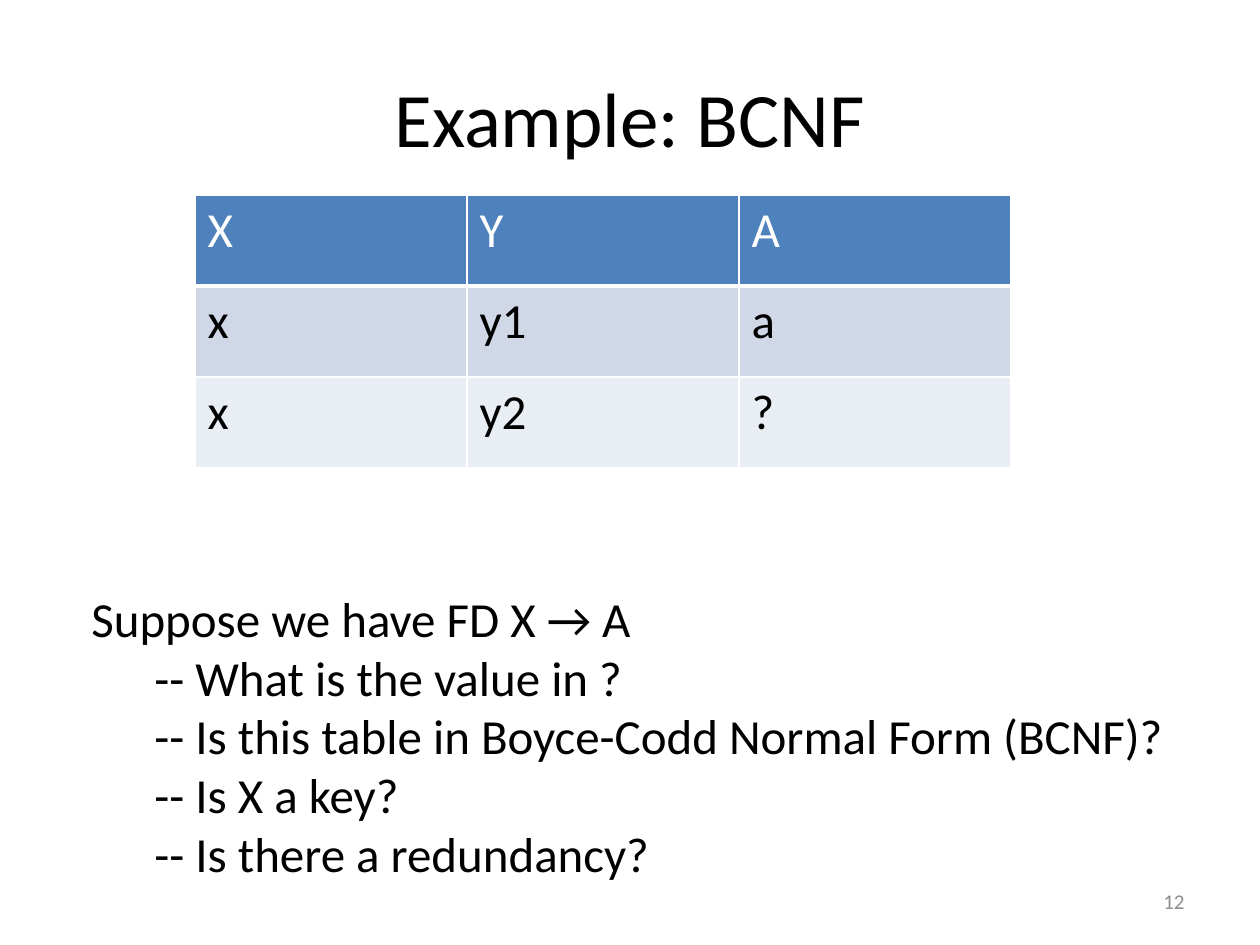
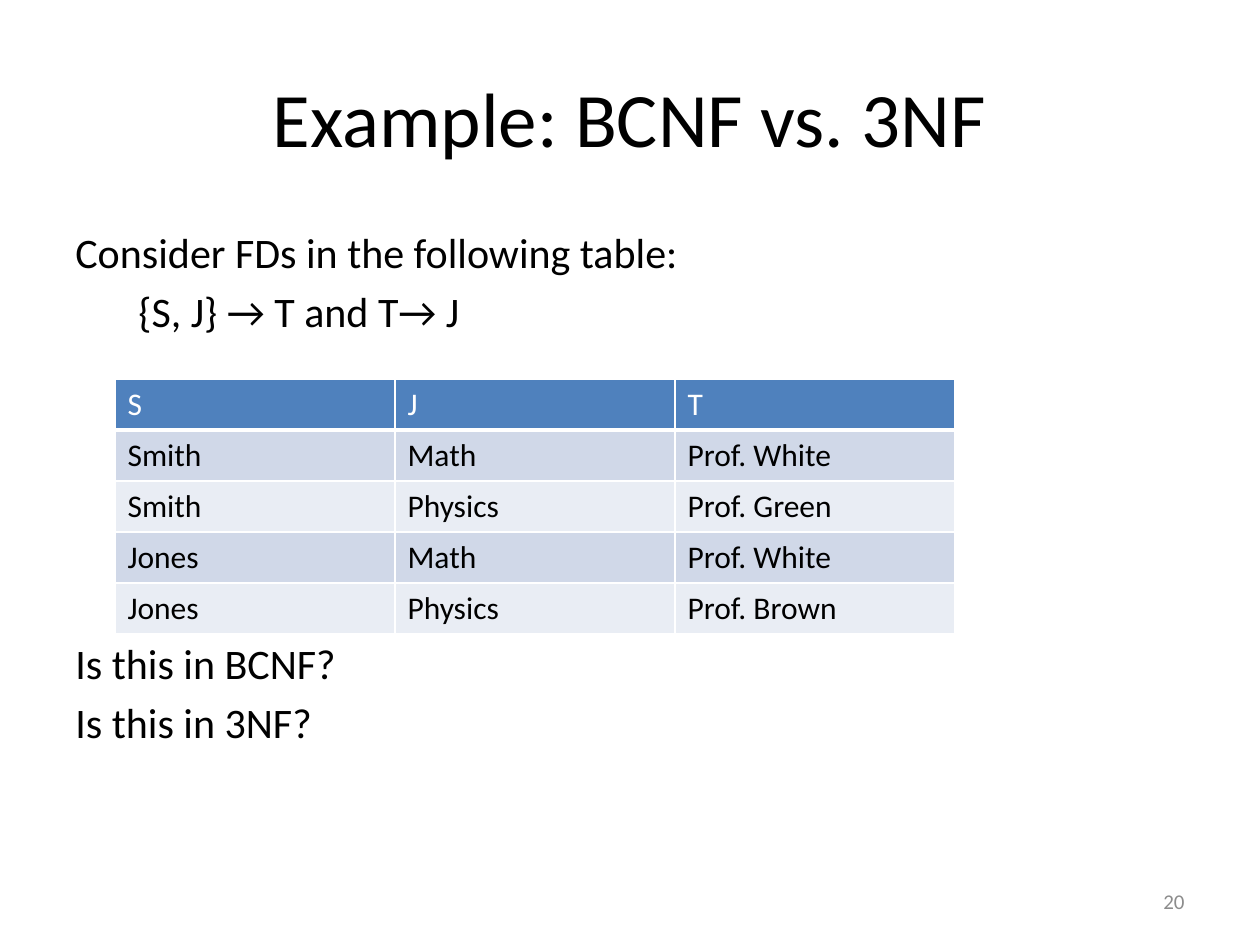
"""Build two slides on normal forms, each with a table and questions."""
from dataclasses import dataclass

from lxml.etree import SubElement
from pptx import Presentation
from pptx.dml.color import RGBColor as Color
from pptx.enum.text import MSO_ANCHOR as Anchor, PP_ALIGN as Align
from pptx.oxml.ns import qn
from pptx.util import Emu, Pt

PX_PER_INCH = 126


@dataclass(frozen=True)
class Theme:
    """Colours, font and type sizes shared by the slides."""
    font: str = "Calibri"
    ink: str = "000000"
    paper: str = "FFFFFF"
    muted: str = "8C8C8C"
    header: str = "4F81BD"
    bands: tuple = ("D0D8E8", "E9EDF4")
    title_size: int = 44
    number_size: int = 12
    rule: int = 1
    header_rule: int = 3


THEME = Theme()


def px(length):
    """Turn whole pixels into EMU."""
    return Emu(round(length * 914400 / PX_PER_INCH))


def style(para, size, color=THEME.ink, align=Align.LEFT):
    """Set font, size, colour and alignment of a paragraph."""
    para.font.name = THEME.font
    para.font.size = Pt(size)
    para.font.color.rgb = Color.from_string(color)
    para.alignment = align


def add_text(page, place, lines, size, color=THEME.ink, align=Align.LEFT, anchor=Anchor.TOP):
    """Add a text box with lines of (text, indent in px, space before in points)."""
    frame = page.shapes.add_textbox(*map(px, place)).text_frame
    frame.word_wrap = True
    frame.vertical_anchor = anchor
    for index, (text, indent, space) in enumerate(lines):
        para = frame.add_paragraph() if index else frame.paragraphs[0]
        para.text = text
        para.space_before = Pt(space)
        if indent:
            para._p.get_or_add_pPr().set("marL", str(px(indent)))
        style(para, size, color, align)


def add_borders(cell, bottom):
    """Draw white rules around a cell, with the given bottom width."""
    properties = cell._tc.get_or_add_tcPr()
    for side in "LRTB":
        width = bottom if side == "B" else THEME.rule
        line = SubElement(properties, qn(f"a:ln{side}"), w=str(Pt(width)))
        fill = SubElement(line, qn("a:solidFill"))
        SubElement(fill, qn("a:srgbClr"), val=THEME.paper)


def add_grid(page, left, top, column_width, row_height, rows, size):
    """Add a table with a header row and banded body rows."""
    width, height = column_width * len(rows[0]), row_height * len(rows)
    table = page.shapes.add_table(
        len(rows), len(rows[0]), px(left), px(top), px(width), px(height)).table
    table.first_row = table.horz_banding = False
    for row_index, row in enumerate(rows):
        is_header = row_index == 0
        fill = THEME.header if is_header else THEME.bands[(row_index - 1) % 2]
        for column_index, text in enumerate(row):
            cell = table.cell(row_index, column_index)
            add_borders(cell, THEME.header_rule if is_header else THEME.rule)
            cell.fill.solid()
            cell.fill.fore_color.rgb = Color.from_string(fill)
            cell.text = text
            style(cell.text_frame.paragraphs[0], size, THEME.paper if is_header else THEME.ink)


def add_page(deck, title, number):
    """Add a blank slide with its title and page number."""
    page = deck.slides.add_slide(deck.slide_layouts[6])
    add_text(page, (63, 38, 1134, 158), [(title, 0, 0)], THEME.title_size,
             align=Align.CENTER, anchor=Anchor.MIDDLE)
    add_text(page, (903, 876, 294, 50), [(number, 0, 0)], THEME.number_size,
             THEME.muted, Align.RIGHT, Anchor.MIDDLE)
    return page


def add_bcnf_page(deck):
    """Add the slide that asks for a missing value."""
    page = add_page(deck, "Example: BCNF", "12")
    rows = [("X", "Y", "A"), ("x", "y1", "a"), ("x", "y2", "?")]
    add_grid(page, 195, 195, 272, 91, rows, 28)
    questions = [
        "-- What is the value in ?",
        "-- Is this table in Boyce-Codd Normal Form (BCNF)?",
        "-- Is X a key?",
        "-- Is there a redundancy?",
    ]
    lines = [("Suppose we have FD X → A", 0, 0)] + [(text, 63, 0) for text in questions]
    add_text(page, (79, 582, 1131, 308), lines, 28)


def add_comparison_page(deck):
    """Add the slide that compares BCNF with 3NF."""
    page = add_page(deck, "Example: BCNF vs. 3NF", "20")
    add_text(page, (63, 220, 1134, 624), [
        ("Consider FDs in the following table:", 0, 0),
        ("{S, J} → T and T→ J", 63, 4.8),
        ("Is this in BCNF?", 0, 172.8),
        ("Is this in 3NF?", 0, 4.8),
    ], 24)
    add_grid(page, 115, 379, 280, 51, [
        ("S", "J", "T"),
        ("Smith", "Math", "Prof. White"),
        ("Smith", "Physics", "Prof. Green"),
        ("Jones", "Math", "Prof. White"),
        ("Jones", "Physics", "Prof. Brown"),
    ], 18)


def main():
    """Build and save the deck."""
    deck = Presentation()
    deck.slide_width, deck.slide_height = px(1260), px(945)
    add_bcnf_page(deck)
    add_comparison_page(deck)
    deck.save("out.pptx")


if __name__ == "__main__":
    main()
